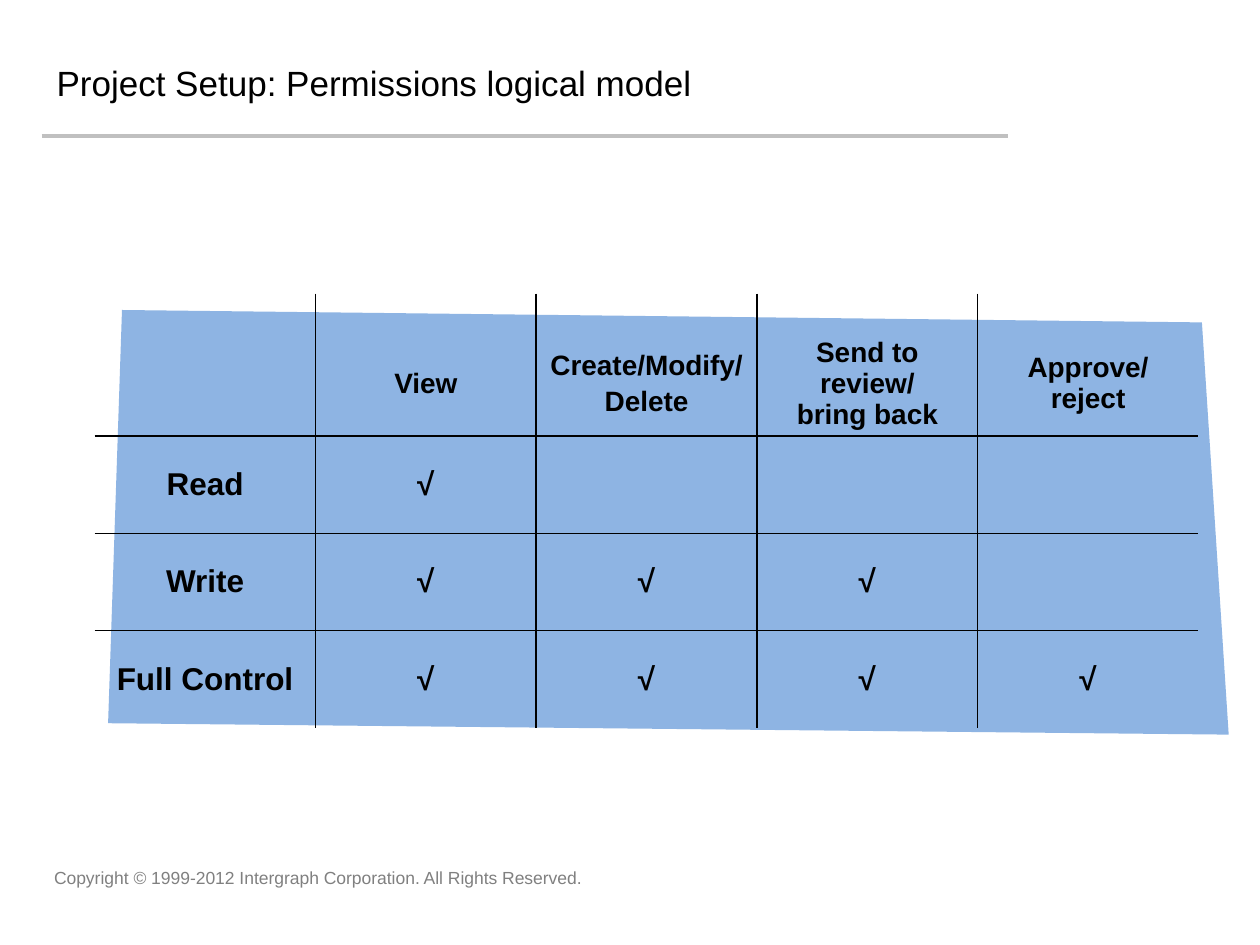
from dataclasses import dataclass

from lxml.etree import SubElement
from pptx import Presentation
from pptx.dml.color import RGBColor
from pptx.enum.shapes import MSO_CONNECTOR
from pptx.enum.text import MSO_ANCHOR, PP_ALIGN
from pptx.oxml.ns import qn
from pptx.util import Cm, Pt


@dataclass(frozen=True)
class Theme:
    font: str = "Arial"
    ink: str = "000000"
    muted: str = "808080"
    rule: str = "C0C0C0"
    panel: str = "8EB4E3"
    title_size: float = 20
    label_size: float = 18
    header_size: float = 16
    footer_size: float = 10
    rule_width: float = 2.25
    grid_width: float = 1


def write_text(frame, lines, *, font, size, color, bold=False,
               align=PP_ALIGN.LEFT, gap=0):
    """Write one paragraph per line, with gap points between them."""
    for index, line in enumerate(lines):
        para = frame.paragraphs[0] if index == 0 else frame.add_paragraph()
        para.alignment = align
        para.space_before = Pt(gap if index else 0)
        span = para.add_run()
        span.text = line
        span.font.name = font
        span.font.size = Pt(size)
        span.font.bold = bold
        span.font.color.rgb = RGBColor.from_string(color)


class SlideBuilder:
    def __init__(self, slide, theme):
        self.slide = slide
        self.theme = theme

    def text(self, line, left, top, width, height, *, size, color,
             anchor=MSO_ANCHOR.TOP):
        box = self.slide.shapes.add_textbox(
            Cm(left), Cm(top), Cm(width), Cm(height))
        box.text_frame.word_wrap = True
        box.text_frame.vertical_anchor = anchor
        write_text(box.text_frame, [line], font=self.theme.font,
                   size=size, color=color)

    def rule(self, left, right, top):
        line = self.slide.shapes.add_connector(
            MSO_CONNECTOR.STRAIGHT, Cm(left), Cm(top), Cm(right), Cm(top))
        line.line.color.rgb = RGBColor.from_string(self.theme.rule)
        line.line.width = Pt(self.theme.rule_width)
        SubElement(line._element.spPr, qn("a:effectLst"))

    def panel(self, corners):
        start, *others = [(Cm(x), Cm(y)) for x, y in corners]
        builder = self.slide.shapes.build_freeform(*start)
        builder.add_line_segments(others, close=True)
        shape = builder.convert_to_shape()
        shape.shadow.inherit = False
        shape.fill.solid()
        shape.fill.fore_color.rgb = RGBColor.from_string(self.theme.panel)
        shape.line.fill.background()

    def borders(self, cell, sides):
        """Draw the sides marked true; the others stay open."""
        properties = cell._tc.get_or_add_tcPr()
        for side, drawn in sides.items():
            edge = SubElement(properties, qn(f"a:ln{side}"),
                              w=str(Pt(self.theme.grid_width)))
            if drawn:
                fill = SubElement(edge, qn("a:solidFill"))
                SubElement(fill, qn("a:srgbClr"), val=self.theme.ink)
            else:
                SubElement(edge, qn("a:noFill"))

    def table(self, rows, left, top, column_width, heights):
        row_count, column_count = len(rows), len(rows[0])
        table = self.slide.shapes.add_table(
            row_count, column_count, Cm(left), Cm(top),
            Cm(column_width * column_count), Cm(sum(heights))).table
        table.first_row = table.horz_banding = False
        for column in table.columns:
            column.width = Cm(column_width)
        for r, lines_in_row in enumerate(rows):
            table.rows[r].height = Cm(heights[r])
            for c, lines in enumerate(lines_in_row):
                cell = table.cell(r, c)
                cell.vertical_anchor = MSO_ANCHOR.MIDDLE
                if r == 0:  # header text sits low in its row
                    cell.margin_top, cell.margin_bottom = Cm(0.76), Cm(0)
                self.borders(cell, {"L": c > 0, "R": c < column_count - 1,
                                    "T": r > 0, "B": r < row_count - 1})
                cell.fill.background()
                size = self.theme.label_size if r else self.theme.header_size
                # Whole words on their own lines are spaced, broken labels not
                gap = 0.2 * size if lines[-1:] == ["Delete"] else 0
                write_text(cell.text_frame, lines, font=self.theme.font,
                           size=size, color=self.theme.ink, bold=True,
                           align=PP_ALIGN.CENTER, gap=gap)


def main():
    theme = Theme()
    deck = Presentation()
    deck.slide_width, deck.slide_height = Cm(25.4), Cm(19.05)
    page = SlideBuilder(deck.slides.add_slide(deck.slide_layouts[6]), theme)

    # Frame: rule and footer
    page.rule(0.84, 20.32, 2.74)
    page.text("Copyright © 1999-2012 Intergraph Corporation. "
              "All Rights Reserved.", 0.84, 17.35, 13.77, 1.12,
              size=theme.footer_size, color=theme.muted)

    # Slanted panel behind the table
    page.panel([(2.46, 6.25), (2.18, 14.58), (24.77, 14.81), (24.23, 6.5)])

    # Title
    page.text("Project Setup: Permissions logical model",
              0.89, 0.58, 18.95, 2.18, size=theme.title_size,
              color=theme.ink, anchor=MSO_ANCHOR.MIDDLE)

    # Permissions: each role is granted the first few actions
    actions = [["View"], ["Create/Modify/", "Delete"],
               ["Send to review/", "bring back"], ["Approve/", "reject"]]
    granted = {"Read": 1, "Write": 3, "Full Control": 4}
    rows = [[[], *actions]]
    for role, count in granted.items():
        marks = [["√"] if index < count else []
                 for index in range(len(actions))]
        rows.append([[role], *marks])
    page.table(rows, 1.91, 5.92, 4.45, [2.87] + [1.96] * len(granted))

    deck.save("out.pptx")


if __name__ == "__main__":
    main()
